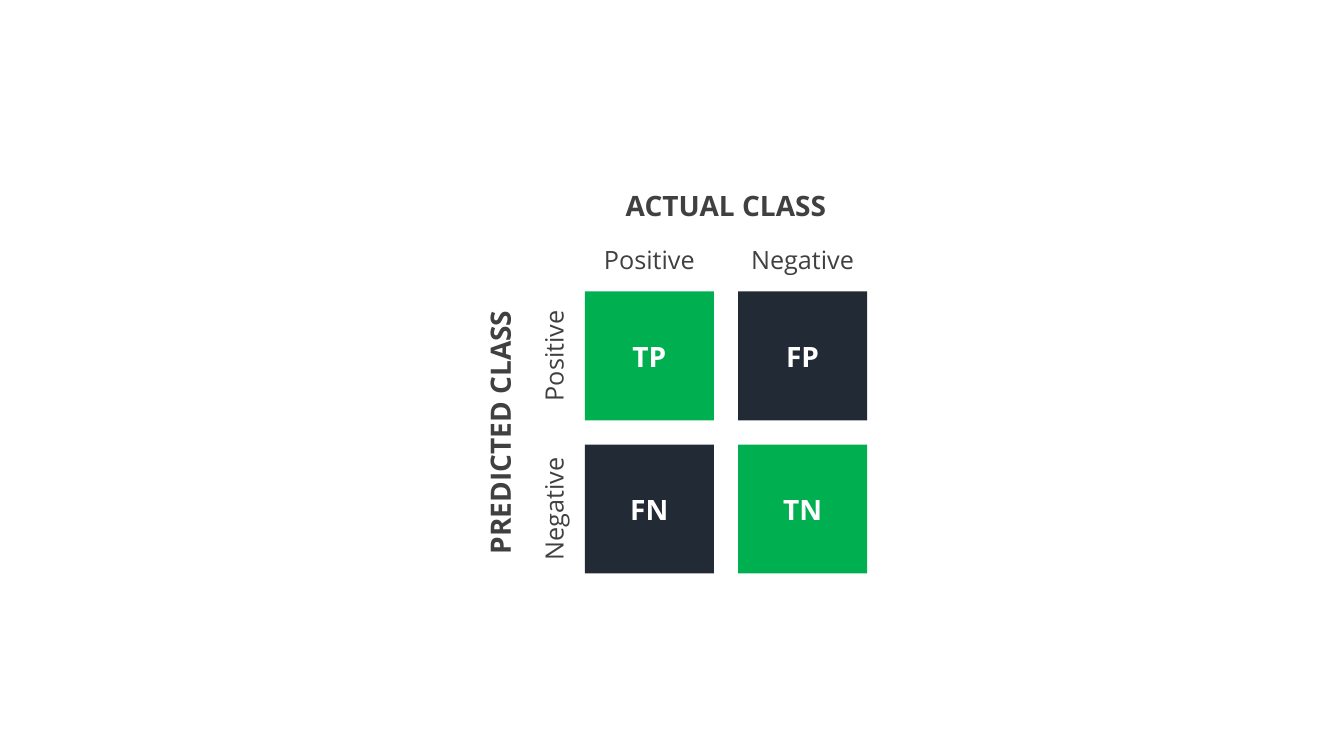
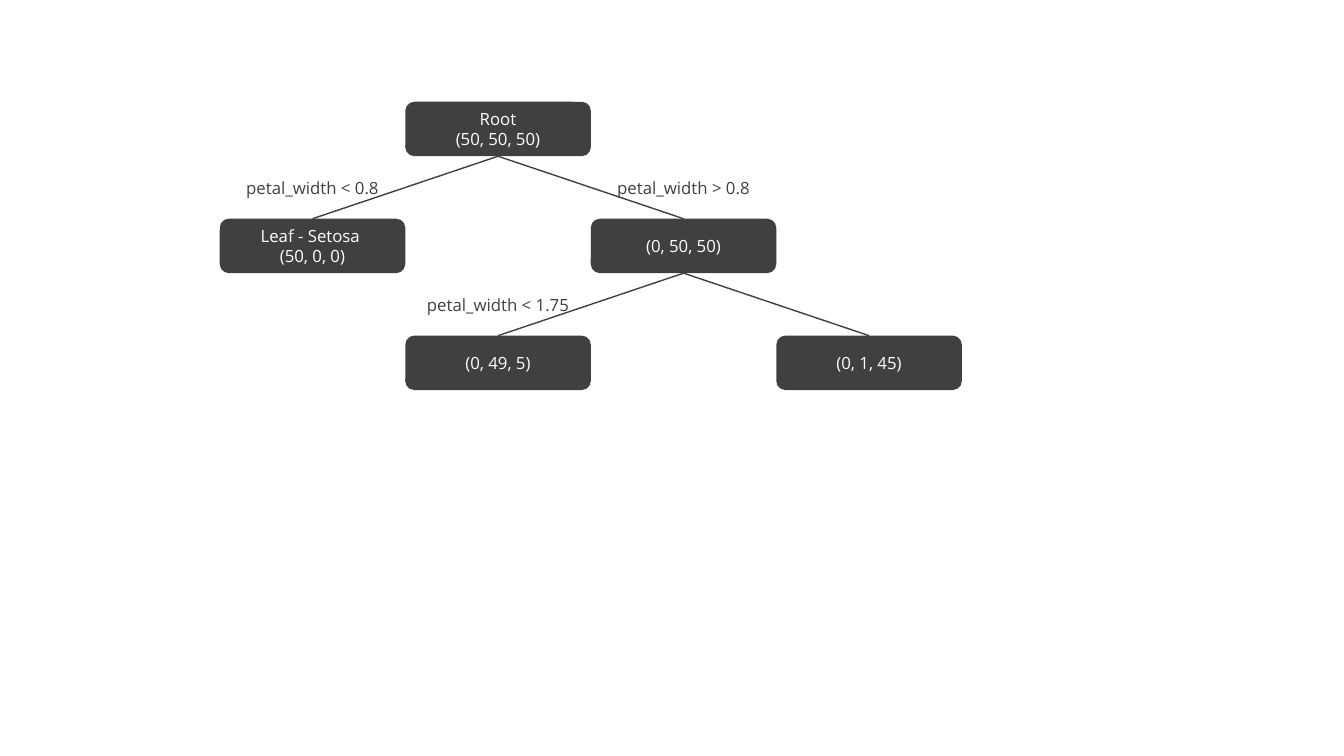
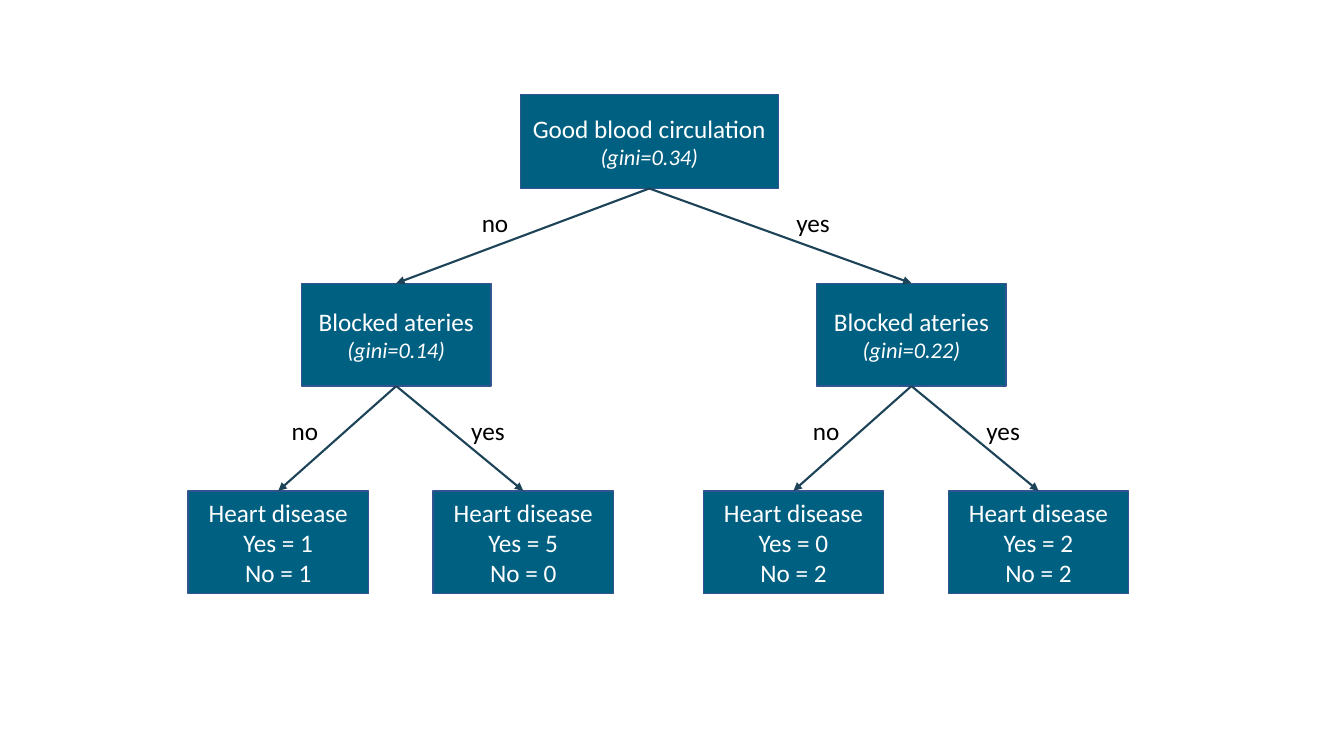
from dataclasses import dataclass, replace

from lxml import etree
from pptx import Presentation
from pptx import util as u
from pptx.dml.color import RGBColor
from pptx.enum import shapes, text
from pptx.oxml import ns

# Shared look
COLOURS = {
    "white": "FFFFFF",
    "black": "000000",
    "grey": "404040",
    "navy": "222A35",
    "green": "00B050",
    "teal": "006082",
    "teal_edge": "325491",
    "arrow": "1C4357",
}
SLIDE_WIDTH, SLIDE_HEIGHT = 13.33, 7.5
BLANK_LAYOUT = 6


@dataclass(frozen=True)
class TextStyle:
    size: float
    colour: str
    font: str = "Open Sans"
    bold: bool = False
    italic: bool = False
    align: text.PP_ALIGN = text.PP_ALIGN.CENTER


@dataclass(frozen=True)
class Box:
    left: float
    top: float
    width: float
    height: float

    def inches(self) -> list:
        return [u.Inches(value) for value in (self.left, self.top, self.width, self.height)]


@dataclass(frozen=True)
class Node:
    """A tree node; the parent is the index of an earlier node."""
    centre: float
    level: int
    lines: tuple
    note: str = ""
    parent: int | None = None
    label: str = ""
    label_shift: float = 0


@dataclass(frozen=True)
class TreeStyle:
    preset: shapes.MSO_SHAPE
    fill: str
    outline: str | None
    tops: tuple
    sizes: tuple
    node_text: TextStyle
    note_text: TextStyle
    label_text: TextStyle
    label_size: tuple
    label_rise: float
    line_colour: str
    line_width: float
    arrow: bool


def colour(name: str) -> RGBColor:
    return RGBColor.from_string(COLOURS[name])


def write(shape, paragraphs: list) -> None:
    """Fill a shape with (text, style) paragraphs."""
    frame = shape.text_frame
    frame.word_wrap = True
    frame.text = "\n".join(line for line, _ in paragraphs)
    for paragraph, (_, style) in zip(frame.paragraphs, paragraphs):
        paragraph.alignment = style.align
        for run in paragraph.runs:
            run.font.name = style.font
            run.font.size = u.Pt(style.size)
            run.font.bold = style.bold
            run.font.italic = style.italic
            run.font.color.rgb = colour(style.colour)


def add_block(slide, preset, box: Box, fill: str, outline: str | None, paragraphs: list):
    shape = slide.shapes.add_shape(preset, *box.inches())
    shape.shadow.inherit = False
    shape.fill.solid()
    shape.fill.fore_color.rgb = colour(fill)
    if outline:
        shape.line.color.rgb = colour(outline)
        shape.line.width = u.Pt(1)
    else:
        shape.line.fill.background()
    frame = shape.text_frame
    frame.margin_left = frame.margin_right = u.Inches(0.05)
    frame.vertical_anchor = text.MSO_ANCHOR.MIDDLE
    write(shape, paragraphs)
    return shape


def add_label(slide, box: Box, words: str, style: TextStyle, rotation: float = 0) -> None:
    label = slide.shapes.add_textbox(*box.inches())
    label.rotation = rotation
    write(label, [(words, style)])


def add_branch(slide, parent, child, style: TreeStyle) -> None:
    """Join the bottom of the parent to the top of the child."""
    branch = slide.shapes.add_connector(shapes.MSO_CONNECTOR.STRAIGHT, 0, 0, 0, 0)
    branch.begin_connect(parent, 2)
    branch.end_connect(child, 0)
    branch.line.color.rgb = colour(style.line_colour)
    branch.line.width = u.Pt(style.line_width)
    properties = branch._element.spPr
    if style.arrow:
        line = properties.find(ns.qn("a:ln"))
        etree.SubElement(line, ns.qn("a:tailEnd"), type="triangle")
    etree.SubElement(properties, ns.qn("a:effectLst"))


def draw_tree(slide, style: TreeStyle, nodes: list) -> None:
    drawn = []
    for node in nodes:
        width, height = style.sizes[node.level]
        left, top = node.centre - width / 2, style.tops[node.level]
        paragraphs = [(line, style.node_text) for line in node.lines]
        if node.note:
            paragraphs.append((node.note, style.note_text))
        drawn.append(add_block(slide, style.preset, Box(left, top, width, height),
                               style.fill, style.outline, paragraphs))
        if node.parent is not None:
            add_branch(slide, drawn[node.parent], drawn[-1], style)
        if node.label:
            box = Box(left + node.label_shift, top - style.label_rise, *style.label_size)
            add_label(slide, box, node.label, style.label_text)


# Slide 1: confusion matrix
def draw_matrix(slide) -> None:
    left, top, side, pitch = 5.8, 2.89, 1.28, 1.52
    span = pitch + side
    cell_text = TextStyle(20, "white", bold=True)
    heading_text = TextStyle(20, "grey", bold=True)
    class_text = TextStyle(18, "grey")

    for row, names in enumerate((("TP", "FP"), ("FN", "TN"))):
        for column, name in enumerate(names):
            box = Box(left + column * pitch, top + row * pitch, side, side)
            fill = "green" if row == column else "navy"
            add_block(slide, shapes.MSO_SHAPE.RECTANGLE, box, fill, None, [(name, cell_text)])

    for index, name in enumerate(("Positive", "Negative")):
        add_label(slide, Box(left + index * pitch, 2.37, side, 0.4), name, class_text)
        add_label(slide, Box(4.85, 3.33 + index * pitch, side, 0.4), name, class_text, 270)

    add_label(slide, Box(left, 1.82, span, 0.44), "ACTUAL CLASS", heading_text)
    add_label(slide, Box(3.56, 4.07, span, 0.44), "PREDICTED CLASS", heading_text, 270)


# Slide 2: iris tree on a grid of equal columns
def draw_iris_tree(slide) -> None:
    width, height, first_centre = 1.84, 0.54, 3.1
    centres = [first_centre + width * column for column in range(4)]
    node_text = TextStyle(12, "white")
    style = TreeStyle(
        preset=shapes.MSO_SHAPE.ROUNDED_RECTANGLE, fill="grey", outline=None,
        tops=tuple(1.01 + 1.16 * level for level in range(3)),
        sizes=((width, height),) * 3,
        node_text=node_text, note_text=node_text, label_text=TextStyle(12, "grey"),
        label_size=(width, 0.3), label_rise=0.46,
        line_colour="grey", line_width=1, arrow=False)
    draw_tree(slide, style, [
        Node(centres[1], 0, ("Root", "(50, 50, 50)")),
        Node(centres[0], 1, ("Leaf - Setosa ", "(50, 0, 0)"), parent=0,
             label="petal_width < 0.8"),
        Node(centres[2], 1, ("(0, 50, 50)",), parent=0, label="petal_width > 0.8"),
        Node(centres[1], 2, ("(0, 49, 5)",), parent=2, label="petal_width < 1.75"),
        Node(centres[3], 2, ("(0, 1, 45)",), parent=2),
    ])


# Slide 3: heart disease tree
def draw_heart_tree(slide) -> None:
    node_text = TextStyle(18, "white", "Calibri")
    style = TreeStyle(
        preset=shapes.MSO_SHAPE.RECTANGLE, fill="teal", outline="teal_edge",
        tops=(0.94, 2.81, 4.87),
        sizes=((2.56, 0.93), (1.88, 1.02), (1.79, 1.02)),
        node_text=node_text, note_text=replace(node_text, size=16, italic=True),
        label_text=TextStyle(18, "black", "Calibri", align=text.PP_ALIGN.LEFT),
        label_size=(0.65, 0.47), label_rise=0.8,
        line_colour="arrow", line_width=1.5, arrow=True)
    no_centre, yes_centre = 3.93, 9.04

    def leaf(parent: int, answer: str, counts: tuple, label_shift: float) -> Node:
        centre = (no_centre, yes_centre)[parent - 1] + (-1.17 if answer == "no" else 1.26)
        lines = ("Heart disease", f"Yes = {counts[0]}", f"No = {counts[1]}")
        return Node(centre, 2, lines, parent=parent, label=answer, label_shift=label_shift)

    draw_tree(slide, style, [
        Node(6.44, 0, ("Good blood circulation",), "(gini=0.34)"),
        Node(no_centre, 1, ("Blocked ateries",), "(gini=0.14)", 0, "no", 1.69),
        Node(yes_centre, 1, ("Blocked ateries",), "(gini=0.22)", 0, "yes", -0.3),
        leaf(1, "no", (1, 1), 0.93),
        leaf(1, "yes", (5, 0), 0.28),
        leaf(2, "no", (0, 2), 0.99),
        leaf(2, "yes", (2, 2), 0.28),
    ])


def main() -> None:
    presentation = Presentation()
    presentation.slide_width = u.Inches(SLIDE_WIDTH)
    presentation.slide_height = u.Inches(SLIDE_HEIGHT)
    for draw in (draw_matrix, draw_iris_tree, draw_heart_tree):
        draw(presentation.slides.add_slide(presentation.slide_layouts[BLANK_LAYOUT]))
    presentation.save("out.pptx")


if __name__ == "__main__":
    main()
